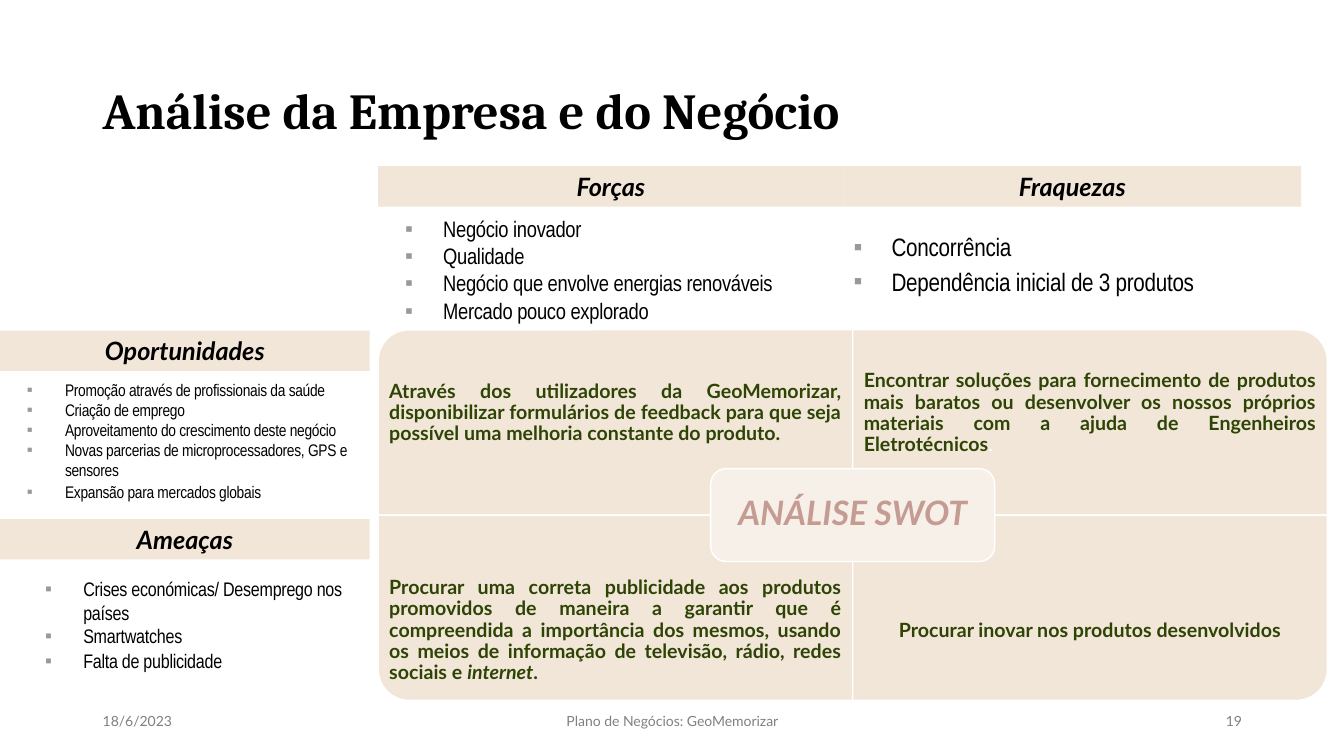
from lxml import etree
from pptx import Presentation
from pptx.dml.color import RGBColor
from pptx.enum.shapes import MSO_SHAPE as Shape
from pptx.enum.text import MSO_ANCHOR as Anchor, PP_ALIGN as Align
from pptx.oxml.ns import qn
from pptx.util import Cm, Pt

# Content
TITLE = "Análise da Empresa e do Negócio"
BADGE = "ANÁLISE SWOT"
# text, left, width, alignment
FOOTER = [
    ("18/6/2023", 2.34, 7.62, Align.LEFT),
    ("Plano de Negócios: GeoMemorizar", 11.23, 11.43, Align.CENTER),
    ("19", 23.93, 7.62, Align.RIGHT),
]
# text, left, top, width
HEADERS = [
    ("Forças", 9.53, 4.19, 11.73),
    ("Fraquezas", 21.26, 4.19, 11.53),
    ("Oportunidades", 0, 8.33, 9.32),
    ("Ameaças", 0, 13.08, 9.32),
]
# box, font size, space before, items as (text, space after)
LISTS = [
    ((9.96, 5.3, 11.3, 3.02), 16, 0,
     [("Negócio inovador", 0), ("Qualidade", 0),
      ("Negócio que envolve energias renováveis", 1),
      ("Mercado pouco explorado", 0)]),
    ((21.26, 5.71, 11.53, 1.9), 18, 2,
     [("Concorrência", 1), ("Dependência inicial de 3 produtos", 1)]),
    ((0.43, 9.44, 9.32, 3.38), 12, 0,
     [("Promoção através de profissionais da saúde", 0),
      ("Criação de emprego", 0),
      ("Aproveitamento do crescimento deste negócio", 0),
      ("Novas parcerias de microprocessadores, GPS e sensores", 1),
      ("Expansão para mercados globais", 1)]),
    ((0.89, 14.42, 8.08, 2.69), 14, 0,
     [("Crises económicas/ Desemprego nos países", 0),
      ("Smartwatches", 1), ("Falta de publicidade", 1)]),
]
# column, row, rotation, text top, alignment, runs as (text, changes)
QUADRANTS = [
    (0, 0, 270, 8.66, Align.JUSTIFY,
     [("Através dos utilizadores da GeoMemorizar, disponibilizar formulários "
       "de feedback para que seja possível uma melhoria constante do produto.", {})]),
    (1, 0, 0, 8.66, Align.JUSTIFY,
     [("Encontrar soluções para fornecimento de produtos mais baratos ou "
       "desenvolver os nossos próprios materiais com a ajuda de Engenheiros "
       "Eletrotécnicos", {}), (".", dict(color="white", bold=False))]),
    (0, 1, 180, 14.14, Align.JUSTIFY,
     [("Procurar uma correta publicidade aos produtos promovidos de maneira a "
       "garantir que é compreendida a importância dos mesmos, usando os meios "
       "de informação de televisão, rádio, redes sociais e ", {}),
      ("internet", dict(italic=True)), (".", {})]),
    (1, 1, 90, 14.14, Align.CENTER,
     [("Procurar inovar nos produtos desenvolvidos", {})]),
]
COLORS = dict(black="000000", white="FFFFFF", grey="808080", bullet="999999",
              sand="F2E6D8", pale="F7F0E9", green="2E4404", rose="C59C93")
GRID_X, GRID_Y, CELL_W, CELL_H = 9.53, 8.31, 11.96, 4.67
QUAD_TEXT_H = 3.51
BADGE_W, BADGE_H = 7.16, 2.34
BAND_H = 1.02

prs = Presentation()
prs.slide_width, prs.slide_height = Cm(33.87), Cm(19.05)
slide = prs.slides.add_slide(prs.slide_layouts[6])


def rgb(name):
    return RGBColor.from_string(COLORS[name])


def add_run(p, text, size=14, font="Lato", color="black", bold=False,
            italic=False, spacing=None):
    r = p.add_run()
    r.text = text
    f = r.font
    f.size, f.name, f.bold, f.italic = Pt(size), font, bold, italic
    f.color.rgb = rgb(color)
    if spacing is not None:
        r._r.get_or_add_rPr().set("spc", str(spacing))


def write(tf, runs, align=Align.LEFT, anchor=Anchor.MIDDLE, line=None,
          inset=None, **fmt):
    """Fill a frame with one paragraph: a string or (text, changes) runs."""
    tf.word_wrap = True
    tf.vertical_anchor = anchor
    if inset is not None:
        tf.margin_left = tf.margin_right = Cm(inset)
        tf.margin_top = tf.margin_bottom = Cm(inset)
    p = tf.paragraphs[0]
    p.alignment = align
    if line:
        p.line_spacing = line
    for text, changes in [(runs, {})] if isinstance(runs, str) else runs:
        add_run(p, text, **{**fmt, **changes})


def add_text(x, y, w, h):
    return slide.shapes.add_textbox(Cm(x), Cm(y), Cm(w), Cm(h)).text_frame


def add_panel(kind, x, y, w, h, fill, outlined=True):
    sp = slide.shapes.add_shape(kind, Cm(x), Cm(y), Cm(w), Cm(h))
    sp.shadow.inherit = False
    sp.fill.solid()
    sp.fill.fore_color.rgb = rgb(fill)
    if outlined:
        sp.line.color.rgb = rgb("white")
        sp.line.width = Pt(1)
    else:
        sp.line.fill.background()
    return sp


def add_bullet(p):
    pPr = p._p.get_or_add_pPr()
    pPr.set("marL", str(Cm(0.96)))
    pPr.set("indent", str(-Cm(0.96)))
    clr = etree.SubElement(pPr, qn("a:buClr"))
    etree.SubElement(clr, qn("a:srgbClr")).set("val", COLORS["bullet"])
    etree.SubElement(pPr, qn("a:buFont")).set("typeface", "Arial")
    etree.SubElement(pPr, qn("a:buChar")).set("char", "▪")


# Title and footer
write(add_text(2.34, 1.96, 29.21, 1.78), TITLE, line=0.9, size=36,
      font="Cambria", bold=True)
for text, x, w, align in FOOTER:
    write(add_text(x, 17.65, w, BAND_H), text, align=align, size=10, color="grey")

# Quadrants: the rounded corner turns towards the outside of the grid
for col, row, turn, text_y, align, runs in QUADRANTS:
    x, y = GRID_X + col * CELL_W, GRID_Y + row * CELL_H
    w, h = (CELL_H, CELL_W) if turn % 180 else (CELL_W, CELL_H)
    sp = add_panel(Shape.ROUND_1_RECTANGLE,
                   x + (CELL_W - w) / 2, y + (CELL_H - h) / 2, w, h, "sand")
    sp.rotation = turn
    write(add_text(x, text_y, CELL_W, QUAD_TEXT_H), runs, align=align, line=0.9,
          inset=0.28, color="green", bold=True)

# Badge centred on the grid
badge = add_panel(Shape.ROUNDED_RECTANGLE, GRID_X + CELL_W - BADGE_W / 2,
                  GRID_Y + CELL_H - BADGE_H / 2, BADGE_W, BADGE_H, "pale")
write(badge.text_frame, BADGE, align=Align.CENTER, line=0.9, inset=0.25,
      size=24, color="rose", bold=True, italic=True)

# Header bands
for text, x, y, w in HEADERS:
    band = add_panel(Shape.RECTANGLE, x, y, w, BAND_H, "sand", outlined=False)
    write(band.text_frame, text, align=Align.CENTER, anchor=Anchor.TOP,
          size=18, bold=True, italic=True)

# Bulleted lists
for box, size, before, items in LISTS:
    tf = add_text(*box)
    tf.word_wrap = True
    for i, (text, after) in enumerate(items):
        p = tf.add_paragraph() if i else tf.paragraphs[0]
        add_bullet(p)
        p.space_before, p.space_after = Pt(before if i else 0), Pt(after)
        add_run(p, text, size=size, font="Arial Narrow", spacing=-20)

prs.save("out.pptx")
